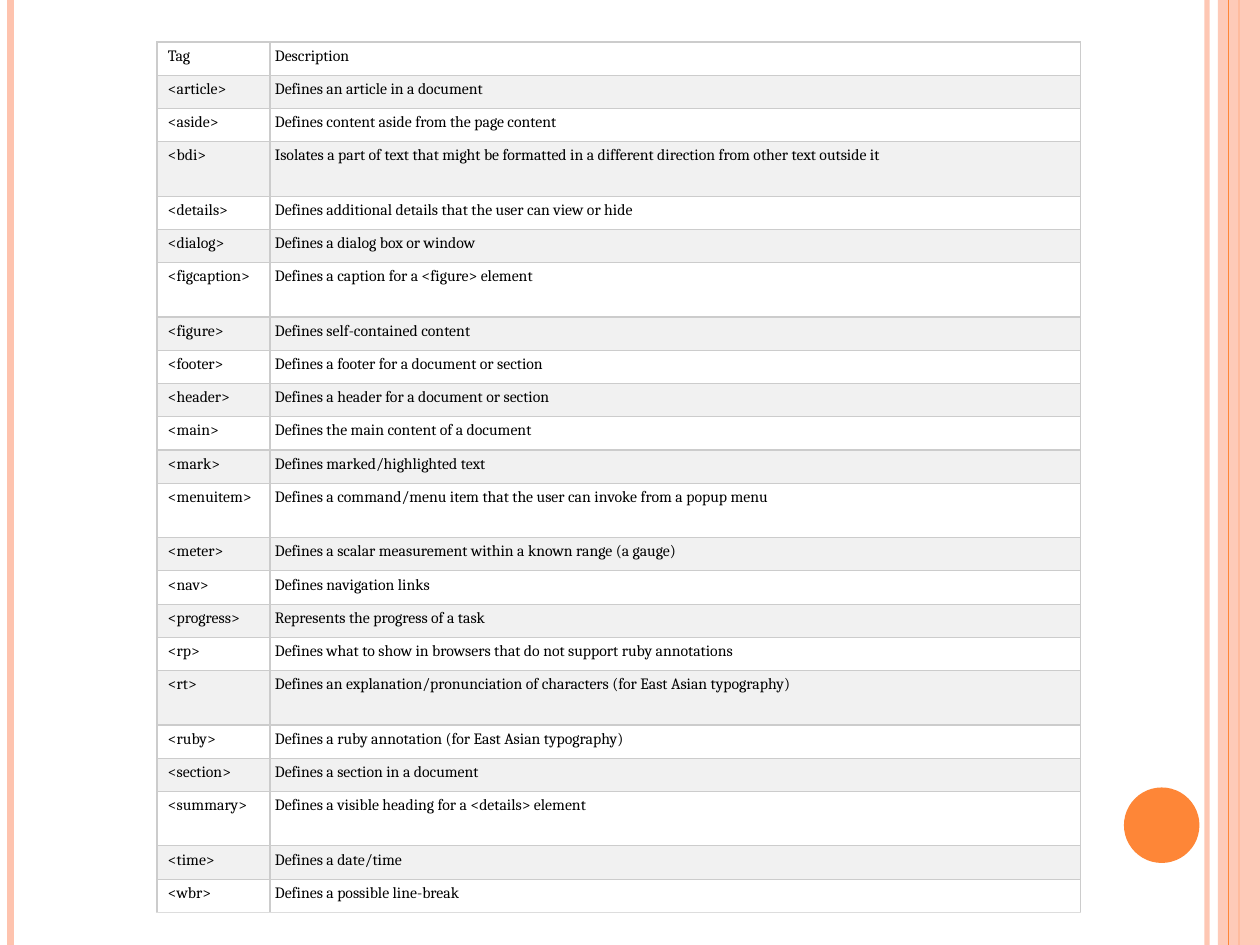
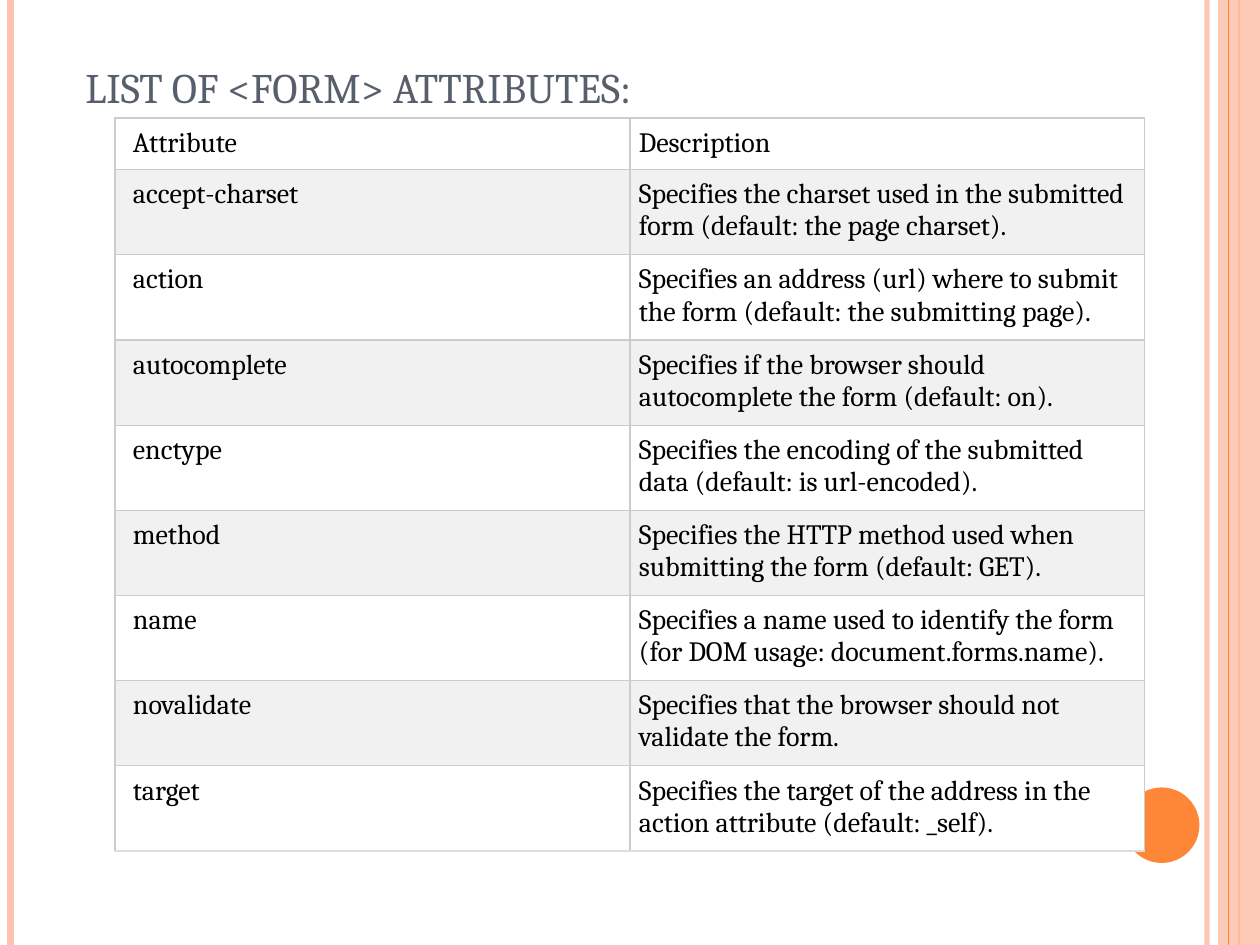
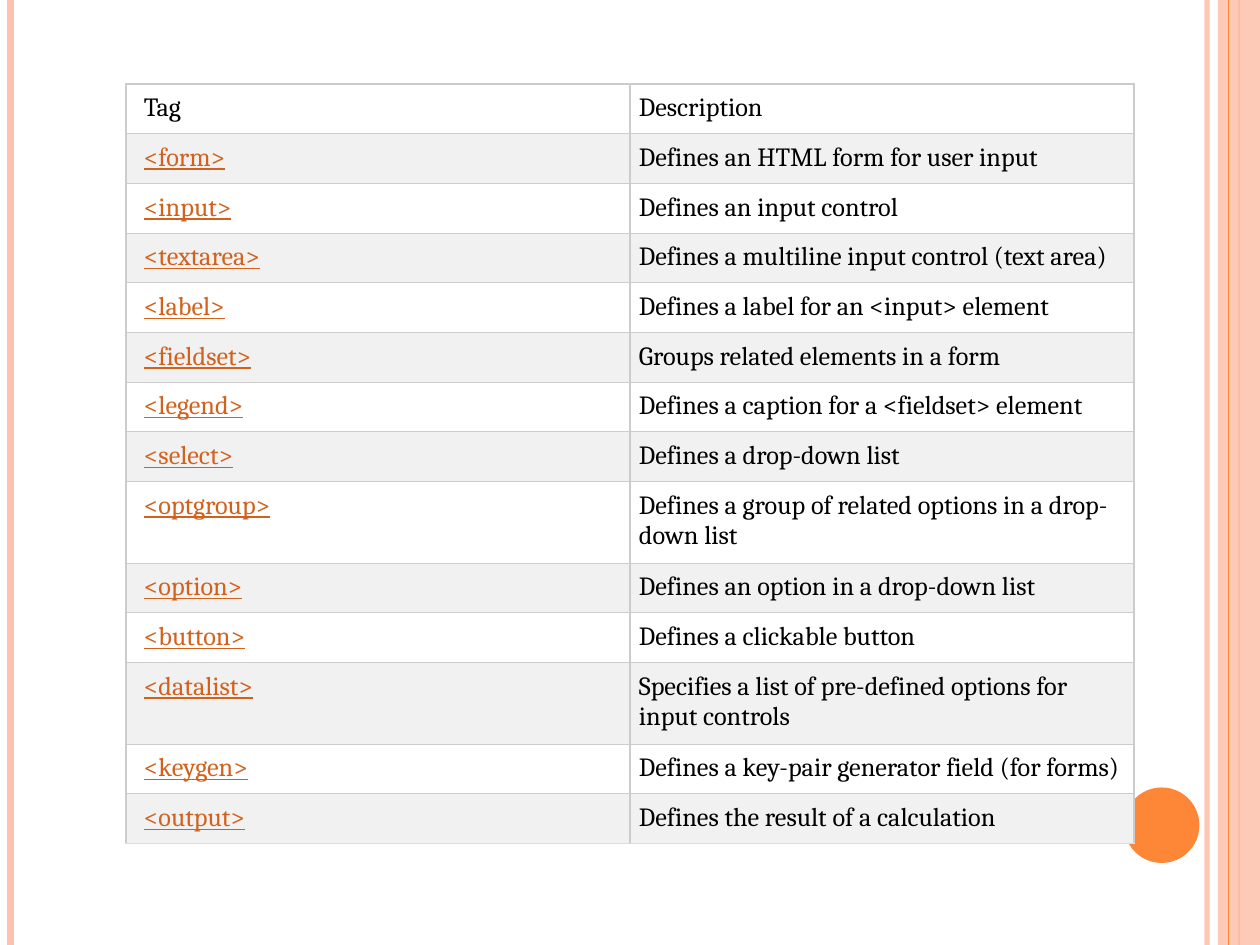
from lxml import etree
from pptx import Presentation
from pptx.dml.color import RGBColor
from pptx.enum import shapes, text
from pptx.oxml import ns
from pptx.util import Pt

PX = 914400 / 126
PAGE_W, PAGE_H = 1260, 945
FONT = "Cambria"
COLORS = {
    "peach": "FEC3AE", "orange": "FE8637", "title": "575F6D", "link": "D2611C",
    "text": "000000", "plain": "FFFFFF", "stripe": "F1F1F1",
    "border": "CCCCCC", "last_border": "DDDDDD",
}

# x, colour, width in points, opacity in percent
LINES_BEHIND = [(1207, "peach", 3, 93), (10.5, "peach", 4.5, 100), (1239, "orange", 1.5, 100)]
LINES_FRONT = [(1228.5, "orange", 0.75, 100)]
BAND = (1218, 0, 42, PAGE_H)
DOT = (1124, 787.5, 75.5, 75.5)
TITLE_BOX = (73, 10, 1134, 110)

HTML5_TAGS = [
    ("Tag", "Description"),
    ("<article>", "Defines an article in a document"),
    ("<aside>", "Defines content aside from the page content"),
    ("<bdi>", "Isolates a part of text that might be formatted in a different direction"
              " from other text outside it"),
    ("<details>", "Defines additional details that the user can view or hide"),
    ("<dialog>", "Defines a dialog box or window"),
    ("<figcaption>", "Defines a caption for a <figure> element"),
    ("<figure>", "Defines self-contained content"),
    ("<footer>", "Defines a footer for a document or section"),
    ("<header>", "Defines a header for a document or section"),
    ("<main>", "Defines the main content of a document"),
    ("<mark>", "Defines marked/highlighted text"),
    ("<menuitem>", "Defines a command/menu item that the user can invoke from a popup menu"),
    ("<meter>", "Defines a scalar measurement within a known range (a gauge)"),
    ("<nav>", "Defines navigation links"),
    ("<progress>", "Represents the progress of a task"),
    ("<rp>", "Defines what to show in browsers that do not support ruby annotations"),
    ("<rt>", "Defines an explanation/pronunciation of characters (for East Asian typography)"),
    ("<ruby>", "Defines a ruby annotation (for East Asian typography)"),
    ("<section>", "Defines a section in a document"),
    ("<summary>", "Defines a visible heading for a <details> element"),
    ("<time>", "Defines a date/time"),
    ("<wbr>", "Defines a possible line-break"),
]
FORM_ATTRIBUTES = [
    ("Attribute", "Description"),
    ("accept-charset", "Specifies the charset used in the submitted form"
                       " (default: the page charset)."),
    ("action", "Specifies an address (url) where to submit the form"
               " (default: the submitting page)."),
    ("autocomplete", "Specifies if the browser should autocomplete the form (default: on)."),
    ("enctype", "Specifies the encoding of the submitted data (default: is url-encoded)."),
    ("method", "Specifies the HTTP method used when submitting the form (default: GET)."),
    ("name", "Specifies a name used to identify the form"
             " (for DOM usage: document.forms.name)."),
    ("novalidate", "Specifies that the browser should not validate the form."),
    ("target", "Specifies the target of the address in the action attribute (default: _self)."),
]
FORM_TAGS = [
    ("Tag", "Description"),
    ("<form>", "Defines an HTML form for user input"),
    ("<input>", "Defines an input control"),
    ("<textarea>", "Defines a multiline input control (text area)"),
    ("<label>", "Defines a label for an <input> element"),
    ("<fieldset>", "Groups related elements in a form"),
    ("<legend>", "Defines a caption for a <fieldset> element"),
    ("<select>", "Defines a drop-down list"),
    ("<optgroup>", "Defines a group of related options in a drop-down list"),
    ("<option>", "Defines an option in a drop-down list"),
    ("<button>", "Defines a clickable button"),
    ("<datalist>", "Specifies a list of pre-defined options for input controls"),
    ("<keygen>", "Defines a key-pair generator field (for forms)"),
    ("<output>", "Defines the result of a calculation"),
]

# "heights" weighs one-line and two-line rows; "insets" are first-column left, all others
PAGES = [
    {"rows": HTML5_TAGS, "at": (157, 42), "height": 871, "columns": (113, 811),
     "heights": (33, 54), "insets": (11, 5), "size": 9,
     "tall": {"<bdi>", "<figcaption>", "<menuitem>", "<rt>", "<summary>"}},
    {"title": "list of <form> attributes:",
     "rows": FORM_ATTRIBUTES, "at": (115, 118), "height": 718, "columns": (515, 515),
     "heights": (50, 83), "insets": (18, 9), "size": 16,
     "tall": {name for name, _ in FORM_ATTRIBUTES[1:]}},
    {"rows": FORM_TAGS, "at": (126, 84), "height": 760, "columns": (504, 504),
     "heights": (50, 82), "insets": (18, 9), "size": 15,
     "tall": {"<optgroup>", "<datalist>"}, "links": True},
]


def px(*lengths):
    return [round(length * PX) for length in lengths]


def rgb(name):
    return RGBColor.from_string(COLORS[name])


def set_opacity(part, percent):
    """Make the first solid colour under part partly transparent."""
    if percent < 100:
        color = part.find(".//" + ns.qn("a:srgbClr"))
        etree.SubElement(color, ns.qn("a:alpha"), val=str(percent * 1000))


def add_lines(page, lines):
    for x, color, width, opacity in lines:
        line = page.shapes.add_connector(shapes.MSO_CONNECTOR.STRAIGHT, *px(x, 0, x, PAGE_H))
        line.line.color.rgb = rgb(color)
        line.line.width = Pt(width)
        properties = line._element.spPr
        set_opacity(properties, opacity)
        etree.SubElement(properties, ns.qn("a:effectLst"))


def add_plain_shape(page, kind, bounds, color, opacity=100):
    shape = page.shapes.add_shape(kind, *px(*bounds))
    shape.shadow.inherit = False
    shape.fill.solid()
    shape.fill.fore_color.rgb = rgb(color)
    shape.line.fill.background()
    set_opacity(shape._element.spPr, opacity)


def add_backdrop(page):
    page.background.fill.solid()
    page.background.fill.fore_color.rgb = rgb("plain")
    add_lines(page, LINES_BEHIND)
    add_plain_shape(page, shapes.MSO_SHAPE.RECTANGLE, BAND, "peach", 87)
    add_lines(page, LINES_FRONT)
    add_plain_shape(page, shapes.MSO_SHAPE.OVAL, DOT, "orange")


def style_span(span, size, color):
    span.font.name = FONT
    span.font.size = Pt(size)
    span.font.color.rgb = rgb(color)


def add_title(page, title):
    box = page.shapes.add_textbox(*px(*TITLE_BOX))
    frame = box.text_frame
    frame.word_wrap = True
    frame.vertical_anchor = text.MSO_ANCHOR.BOTTOM
    frame.text = title
    span = frame.paragraphs[0].runs[0]
    style_span(span, 30, "title")
    span.font._element.set("cap", "small")


def set_borders(cell, bottom):
    properties = cell._tc.get_or_add_tcPr()
    for side, color in (("L", "border"), ("R", "border"), ("T", "border"), ("B", bottom)):
        line = etree.SubElement(properties, ns.qn("a:ln" + side), w=str(Pt(0.75)))
        fill = etree.SubElement(line, ns.qn("a:solidFill"))
        etree.SubElement(fill, ns.qn("a:srgbClr"), val=COLORS[color])


def fill_cell(cell, words, size, left, inset, text_color, fill, bottom):
    cell.margin_left, cell.margin_right, cell.margin_top, cell.margin_bottom = px(
        left, inset, inset, inset)
    cell.text_frame.text = words
    span = cell.text_frame.paragraphs[0].runs[0]
    style_span(span, size, text_color)
    span.font.underline = text_color == "link"
    set_borders(cell, bottom)
    cell.fill.solid()
    cell.fill.fore_color.rgb = rgb(fill)


def add_striped_table(page, content):
    rows, columns = content["rows"], content["columns"]
    frame = page.shapes.add_table(
        len(rows), len(columns), *px(*content["at"], sum(columns), content["height"]))
    table = frame.table
    table.first_row = table.horz_banding = False
    for column, width in zip(table.columns, px(*columns)):
        column.width = width

    weights = [content["heights"][name in content["tall"]] for name, _ in rows]
    scale = content["height"] / sum(weights)
    first_left, inset = content["insets"]
    for r, (row, weight) in enumerate(zip(rows, weights)):
        table.rows[r].height = round(weight * scale * PX)
        fill = "stripe" if r % 2 else "plain"
        bottom = "last_border" if r == len(rows) - 1 else "border"
        for c, words in enumerate(row):
            is_link = content.get("links") and r > 0 and c == 0
            fill_cell(table.cell(r, c), words, content["size"], inset if c else first_left,
                      inset, "link" if is_link else "text", fill, bottom)


def main():
    deck = Presentation()
    deck.slide_width, deck.slide_height = px(PAGE_W, PAGE_H)
    for content in PAGES:
        page = deck.slides.add_slide(deck.slide_layouts[6])
        add_backdrop(page)
        if "title" in content:
            add_title(page, content["title"])
        add_striped_table(page, content)
    deck.save("out.pptx")


if __name__ == "__main__":
    main()
